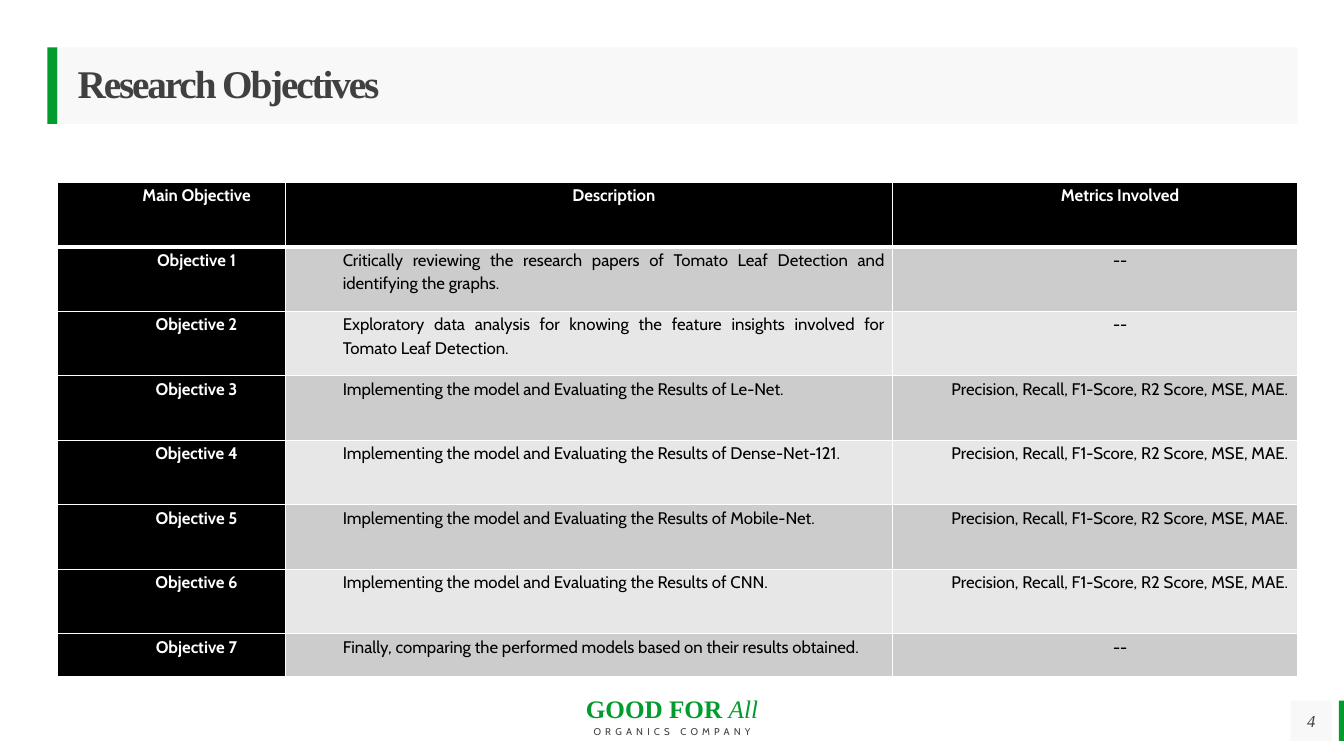
import pptx
import pptx.util
import pptx.dml.color
import pptx.enum.shapes
import pptx.enum.text
import pptx.oxml

# Content
TITLE = "Research Objectives"
PAGE = "4"
HEADS = ("Main Objective", "Description", "Metrics Involved")
NONE = "--"
SCORES = "Precision, Recall, F1-Score, R2 Score, MSE, MAE."
MODEL = "Implementing the model and Evaluating the Results of {}."
GOALS = [
    ("Critically reviewing the research papers of Tomato Leaf Detection "
     "and identifying the graphs.", NONE),
    ("Exploratory data analysis for knowing the feature insights involved "
     "for Tomato Leaf Detection.", NONE),
    *[(MODEL.format(net), SCORES)
      for net in ("Le-Net", "Dense-Net-121", "Mobile-Net", "CNN")],
    ("Finally, comparing the performed models based on their results "
     "obtained.", NONE),
]

# Style
SERIF, SANS = "Times New Roman", "Cabin"
GREEN, GREY, PALE = "029B2D", "404040", "F2F2F2"
BLACK, WHITE = "000000", "FFFFFF"
BANDS = ("CCCCCC", "E7E7E7")

# Grid, in inches
WIDE, HIGH = 13.33, 7.5
LEFT, TOP, BAR = 0.57, 0.47, 0.76
COLS = (2.26, 6.02, 4.02)
ROW, LAST = 0.64, 0.42
SPAN = sum(COLS)
FOOT, TAB = 6.95, 0.4

ALIGN = pptx.enum.text.PP_ALIGN
MIDDLE = pptx.enum.text.MSO_ANCHOR.MIDDLE
inch = pptx.util.Inches
points = pptx.util.Pt


def paint(fill, tone):
    fill.solid()
    fill.fore_color.rgb = pptx.dml.color.RGBColor.from_string(tone)


def write(para, text, size, face, tone, bold=False, slant=False, gap=0):
    run = para.add_run()
    run.text = text
    font = run.font
    font.size, font.name = points(size), face
    font.bold, font.italic = bold, slant
    paint(font.fill, tone)
    if gap:
        font._element.set("spc", str(int(gap * 100)))


def inset(box, left=0, top=0, right=0, low=0):
    box.margin_left, box.margin_top = inch(left), inch(top)
    box.margin_right, box.margin_bottom = inch(right), inch(low)


def block(left, top, wide, high, tone, clear=False):
    shape = slide.shapes.add_shape(
        pptx.enum.shapes.MSO_SHAPE.RECTANGLE,
        inch(left), inch(top), inch(wide), inch(high))
    shape.shadow.inherit = False
    paint(shape.fill, tone)
    shape.line.fill.background()
    if clear:
        color = shape.fill._xPr.find(".//" + pptx.oxml.ns.qn("a:srgbClr"))
        pptx.oxml.xmlchemy.OxmlElement("a:alpha")
        alpha = pptx.oxml.xmlchemy.OxmlElement("a:alpha")
        alpha.set("val", "50000")
        color.append(alpha)
    frame = shape.text_frame
    frame.word_wrap = True
    frame.vertical_anchor = MIDDLE
    inset(frame)
    return frame


def edge(cell, head, under):
    """Draw white borders, thick between the head and the body."""
    props = cell._tc.get_or_add_tcPr()
    wides = {"L": 1, "R": 1, "T": 3 if under else 1, "B": 3 if head else 1}
    for spot, (side, wide) in enumerate(wides.items()):
        props.insert(spot, pptx.oxml.parse_xml(
            f'<a:ln{side} {pptx.oxml.ns.nsdecls("a")} w="{wide * 12700}">'
            f'<a:solidFill><a:srgbClr val="{WHITE}"/></a:solidFill>'
            f'</a:ln{side}>'))


deck = pptx.Presentation()
deck.slide_width, deck.slide_height = inch(WIDE), inch(HIGH)
slide = deck.slides.add_slide(deck.slide_layouts[6])

# Title band
block(TOP, TOP, LEFT - TOP, BAR, GREEN)
frame = block(LEFT, TOP, SPAN, BAR, PALE, True)
inset(frame, left=0.2)
para = frame.paragraphs[0]
para.alignment, para.line_spacing = ALIGN.LEFT, 0.9
write(para, TITLE, 28, SERIF, GREY, bold=True, gap=-1.5)

# Objectives table
rows = [HEADS] + [(f"Objective {num}", *goal)
                  for num, goal in enumerate(GOALS, 1)]
highs = [ROW] * len(GOALS) + [LAST]
table = slide.shapes.add_table(
    len(rows), len(COLS), inch(LEFT), inch(1.81),
    inch(SPAN), inch(sum(highs))).table
table.first_row = table.horz_banding = False
for col, wide in zip(table.columns, COLS):
    col.width = inch(wide)
for y, (row, high) in enumerate(zip(rows, highs)):
    table.rows[y].height = inch(high)
    for x, text in enumerate(row):
        cell = table.cell(y, x)
        dark = y == 0 or x == 0
        inset(cell, left=0.07, right=0.07)
        paint(cell.fill, BLACK if dark else BANDS[(y - 1) % 2])
        edge(cell, y == 0, y == 1)
        para = cell.text_frame.paragraphs[0]
        para._p.get_or_add_pPr().set("marL", str(inch(0.5)))
        para.line_spacing = 1.15
        para.alignment = ALIGN.CENTER
        if x == 1 and y > 0:
            para.alignment = ALIGN.LEFT if y == len(GOALS) else ALIGN.JUSTIFY
        if x == 2:
            para.space_after = points(10)
        write(para, text, 12, SANS, WHITE if dark else BLACK, bold=dark)

# Footer name
frame = slide.shapes.add_textbox(
    inch(5.62), inch(6.92), inch(2.09), inch(0.44)).text_frame
frame.word_wrap = True
inset(frame, 0.1, 0.12, 0.1, 0.05)
para = frame.paragraphs[0]
para.alignment, para.line_spacing = ALIGN.CENTER, points(10)
write(para, "GOOD FOR ", 18, SERIF, GREEN, bold=True)
write(para, "All", 18, SERIF, GREEN, slant=True)
para.add_line_break()
write(para, "ORGANICS COMPANY", 7, SANS, GREY, gap=3)

# Page number
block(WIDE - 0.05, FOOT, 0.05, TAB, GREEN)
para = block(12.8, FOOT, 0.41, TAB, PALE, True).paragraphs[0]
para.alignment = ALIGN.CENTER
write(para, PAGE, 12, SERIF, GREY, slant=True)

deck.save("out.pptx")
